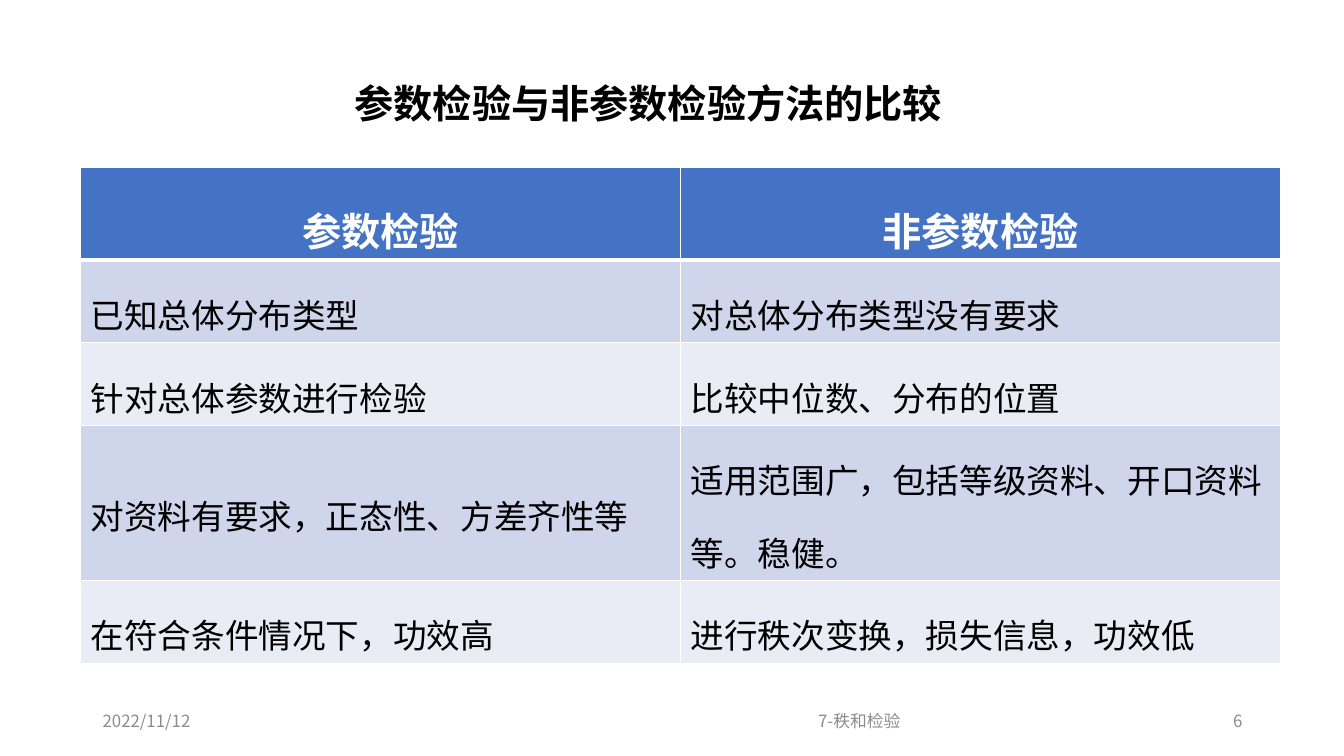
from lxml import etree
from pptx import Presentation
from pptx.dml.color import RGBColor
from pptx.enum.text import MSO_ANCHOR as Anchor, MSO_AUTO_SIZE as AutoSize, PP_ALIGN as Align
from pptx.oxml.ns import qn
from pptx.util import Emu, Pt

PX = 9144  # 100 px to the inch
FONT = "Noto Sans CJK SC"
COLORS = {
    "header": "4472C4",
    "band_dark": "CFD5EA",
    "band_light": "E9EBF5",
    "white": "FFFFFF",
    "black": "000000",
    "footer": "8C8C8C",
}

TITLE = "参数检验与非参数检验方法的比较"
COMPARISON = [
    ("参数检验", "非参数检验"),
    ("已知总体分布类型", "对总体分布类型没有要求"),
    ("针对总体参数进行检验", "比较中位数、分布的位置"),
    ("对资料有要求，正态性、方差齐性等", "适用范围广，包括等级资料、开口资料等。稳健。"),
    ("在符合条件情况下，功效高", "进行秩次变换，损失信息，功效低"),
]
ROW_HEIGHTS = [92, 82, 82, 154, 82]
COLUMN_WIDTH = 595
# text, left, width, alignment
FOOTERS = [
    ("2022/11/12", 92, 300, Align.LEFT),
    ("7-秩和检验", 429, 474, Align.RIGHT),
    ("6", 942, 300, Align.RIGHT),
]


def px(*lengths):
    return [Emu(length * PX) for length in lengths]


def color(name):
    return RGBColor.from_string(COLORS[name])


def write(frame, text, size, color_name, align, bold=False, spacing=1.0):
    frame.text = text
    frame.word_wrap = True
    para = frame.paragraphs[0]
    para.alignment = align
    para.line_spacing = spacing
    for span in para.runs:
        span.font.size = Pt(size)
        span.font.bold = bold
        span.font.name = FONT
        span.font.color.rgb = color(color_name)
        # East Asian glyphs take their own font entry
        east_asian = etree.SubElement(span.font._element, qn("a:ea"))
        east_asian.set("typeface", FONT)


def add_title(page):
    title = page.shapes.title
    title.left, title.top, title.width, title.height = px(284, 74, 718, 57)
    write(title.text_frame, TITLE, 28, "black", Align.CENTER, bold=True)
    title.text_frame.vertical_anchor = Anchor.TOP
    title.text_frame.auto_size = AutoSize.SHAPE_TO_FIT_TEXT


def add_footer(page, text, left, width, align):
    box = page.shapes.add_textbox(*px(left, 695, width, 40))
    write(box.text_frame, text, 12, "footer", align)
    box.text_frame.vertical_anchor = Anchor.MIDDLE


def set_borders(cell, widths):
    properties = cell._tc.get_or_add_tcPr()
    for index, (side, width) in enumerate(widths.items()):
        line = etree.Element(qn(f"a:ln{side}"), w=str(Pt(width)))
        fill = etree.SubElement(line, qn("a:solidFill"))
        etree.SubElement(fill, qn("a:srgbClr"), val=COLORS["white"])
        properties.insert(index, line)


def fill_cell(cell, text, row):
    is_header = row == 0
    band = "band_dark" if row % 2 else "band_light"
    cell.fill.solid()
    cell.fill.fore_color.rgb = color("header" if is_header else band)
    cell.vertical_anchor = Anchor.MIDDLE
    if is_header:
        write(cell.text_frame, text, 28, "white", Align.CENTER, bold=True, spacing=1.5)
    else:
        write(cell.text_frame, text, 24, "black", Align.LEFT, spacing=1.5)
    # The rule under the header is thicker
    set_borders(cell, {"L": 1, "R": 1, "T": 3 if row == 1 else 1, "B": 3 if is_header else 1})


def add_comparison(page):
    columns = len(COMPARISON[0])
    frame = page.shapes.add_table(
        len(COMPARISON), columns, *px(80, 166, COLUMN_WIDTH * columns, sum(ROW_HEIGHTS)))
    table = frame.table
    for column in table.columns:
        column.width = Emu(COLUMN_WIDTH * PX)
    for row, (height, texts) in enumerate(zip(ROW_HEIGHTS, COMPARISON)):
        table.rows[row].height = Emu(height * PX)
        for column, text in enumerate(texts):
            fill_cell(table.cell(row, column), text, row)


def main():
    deck = Presentation()
    deck.slide_width, deck.slide_height = px(1333, 750)
    page = deck.slides.add_slide(deck.slide_layouts[5])  # title only
    # Footer line
    for footer in FOOTERS:
        add_footer(page, *footer)
    # Main content
    add_comparison(page)
    add_title(page)
    deck.save("out.pptx")


if __name__ == "__main__":
    main()
